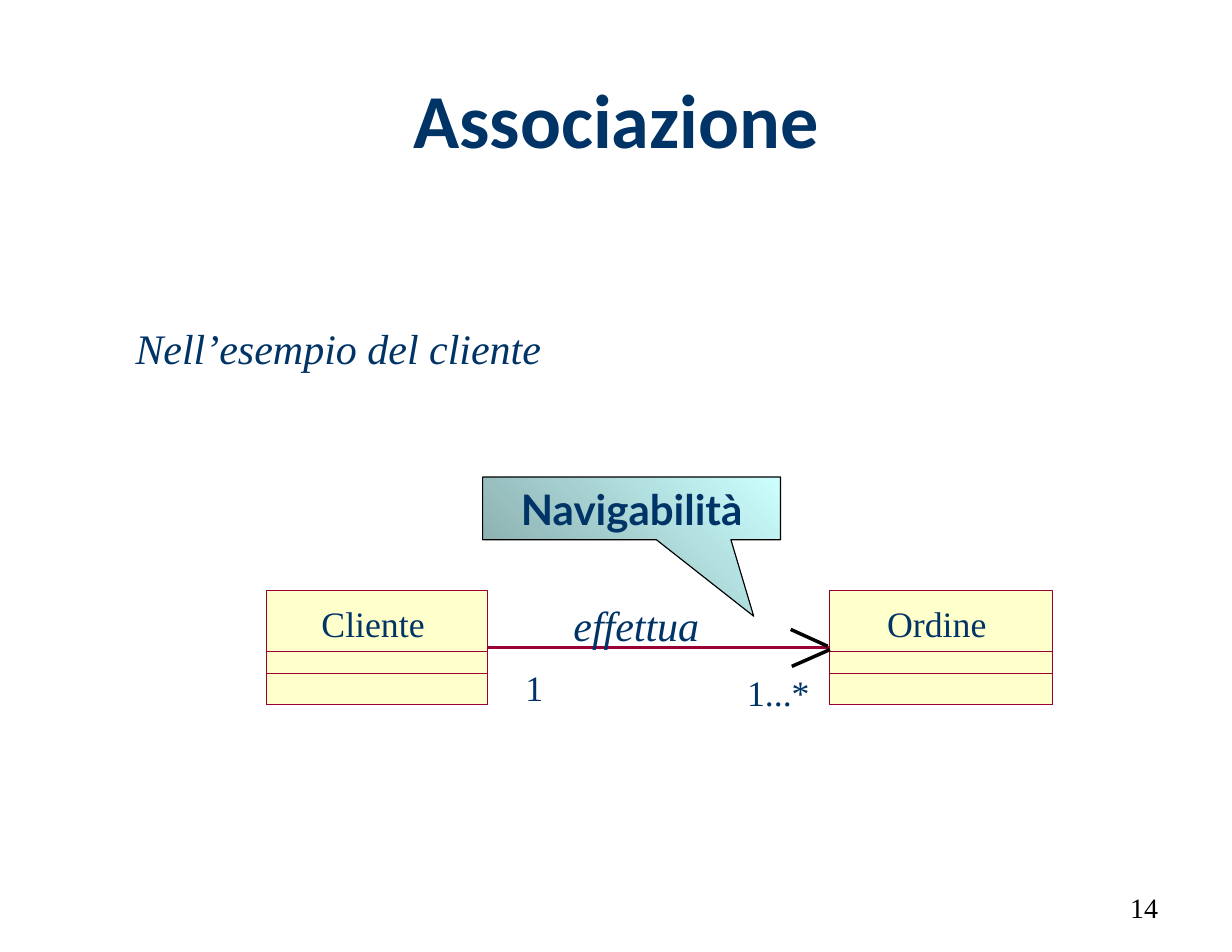
from pptx import Presentation
from pptx.dml.color import RGBColor
from pptx.enum.shapes import MSO_CONNECTOR as Conn, MSO_SHAPE as Kind
from pptx.enum.text import MSO_ANCHOR as Anchor, PP_ALIGN as Align
from pptx.oxml.ns import qn
from pptx.util import Inches, Pt
from lxml.etree import SubElement

NAVY, WINE, CREAM, BLACK = "003366", "990033", "FFFFCC", "000000"
SERIF = "Times New Roman"
rgb = RGBColor.from_string


def write(shape, text, size, font=SERIF, color=NAVY, bold=False, italic=False,
          align=Align.LEFT, anchor=Anchor.TOP, pad=(0.11, 0.06), wrap=False):
    frame = shape.text_frame
    frame.word_wrap = wrap
    frame.vertical_anchor = anchor
    frame.margin_left = frame.margin_right = Inches(pad[0])
    frame.margin_top = frame.margin_bottom = Inches(pad[1])
    para = frame.paragraphs[0]
    para.alignment = align
    run = para.add_run()
    run.text = text
    run.font.name, run.font.size = font, Pt(size)
    run.font.bold, run.font.italic = bold, italic
    run.font.color.rgb = rgb(color)


def link(parts, x1, y1, x2, y2, color, width):
    line = parts.add_connector(Conn.STRAIGHT, Inches(x1), Inches(y1), Inches(x2), Inches(y2))
    line.line.color.rgb = rgb(color)
    line.line.width = Pt(width)
    SubElement(line._element.spPr, qn("a:effectLst"))
    return line


deck = Presentation()
deck.slide_width, deck.slide_height = Inches(11), Inches(8.5)
slide = deck.slides.add_slide(deck.slide_layouts[6])
shapes = slide.shapes

# Title and page number
title = shapes.add_textbox(Inches(0.55), Inches(0.34), Inches(9.9), Inches(1.42))
write(title, "Associazione", 49, "Calibri", bold=True, align=Align.CENTER,
      anchor=Anchor.MIDDLE, wrap=True)
page = shapes.add_textbox(Inches(7.88), Inches(7.88), Inches(2.57), Inches(0.45))
write(page, "14", 18, color=BLACK, align=Align.RIGHT, anchor=Anchor.MIDDLE, wrap=True)

# Classes: a filled frame, then the two lower compartments
base = 6.29
frames = []
for x, w in [(2.38, 1.97), (7.41, 1.99)]:
    for top in (5.27, 5.82, 6.01):
        box = shapes.add_shape(Kind.RECTANGLE, Inches(x), Inches(top), Inches(w), Inches(base - top))
        box.shadow.inherit = False
        box.line.color.rgb = rgb(WINE)
        box.line.width = Pt(0)
        if top == 5.27:
            box.fill.solid()
            box.fill.fore_color.rgb = rgb(CREAM)
            frames.append(box)
        else:
            box.fill.background()

# Association, drawn from its middle to each class
mid = 5.78
for box, end, side in [(frames[1], 7.41, 1), (frames[0], 4.35, 3)]:
    link(shapes, 5.88, mid, end, mid, WINE, 0).end_connect(box, side)

# Open arrowhead
head = shapes.add_group_shape()
link(head.shapes, 7.06, 5.62, 7.39, 5.77, BLACK, 2.25)
link(head.shapes, 7.07, 5.95, 7.41, 5.8, BLACK, 2.25)

# Class names and multiplicities
for text, x, y, w in [("Cliente", 2.87, 5.37, 0.93), ("Ordine", 7.92, 5.37, 0.89),
                      ("1", 4.69, 5.94, 0.16), ("1...*", 6.67, 5.99, 0.56)]:
    label = shapes.add_textbox(Inches(x), Inches(y), Inches(w), Inches(0.38))
    write(label, text, 23, pad=(0, 0))

# Callout
note = shapes.add_shape(Kind.RECTANGULAR_CALLOUT, Inches(4.31), Inches(4.26), Inches(2.66), Inches(0.56))
note.shadow.inherit = False
note.adjustments[0], note.adjustments[1] = 0.41, 1.72
note.fill.gradient()
note.fill.gradient_angle = 45
for stop, color, place in zip(note.fill.gradient_stops, ("8EB2B2", "CCFFFF"), (0, 1)):
    stop.color.rgb = rgb(color)
    stop.position = place
note.line.color.rgb = rgb(BLACK)
note.line.width = Pt(0.75)
write(note, "Navigabilità", 27, "Lato", bold=True, align=Align.CENTER,
      anchor=Anchor.MIDDLE, wrap=True)

# Italic captions
for text, x, y, w in [("Nell’esempio del cliente", 1.1, 2.82, 3.85), ("effettua", 5.01, 5.29, 1.35)]:
    label = shapes.add_textbox(Inches(x), Inches(y), Inches(w), Inches(0.56))
    write(label, text, 27, italic=True)

deck.save("out.pptx")
